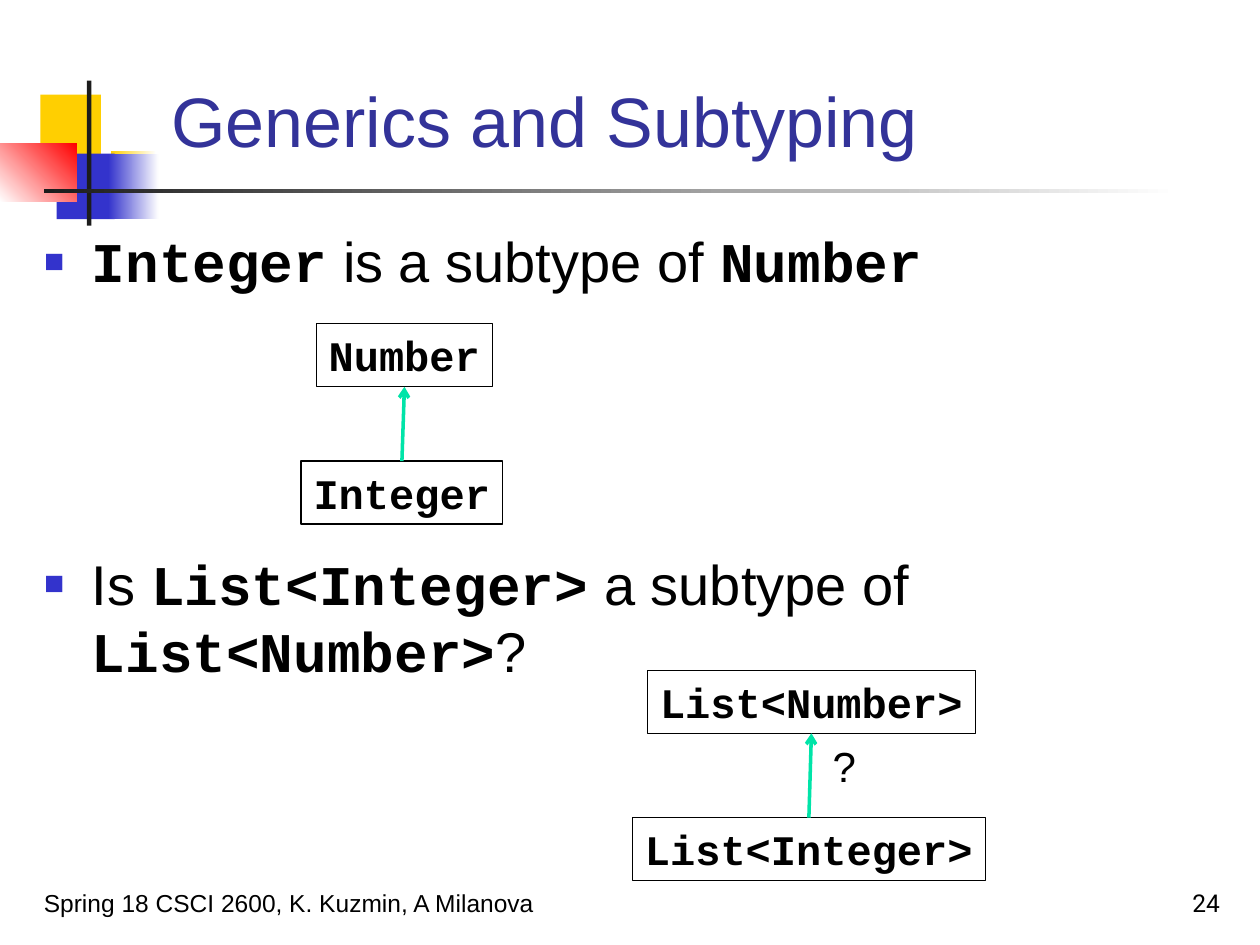
"""Build the slide on generics and subtyping."""
from dataclasses import dataclass
from typing import Any, NamedTuple

from lxml import etree
from pptx import Presentation
from pptx.dml.color import RGBColor
from pptx.enum.shapes import MSO_CONNECTOR, MSO_SHAPE
from pptx.enum.text import MSO_ANCHOR, MSO_AUTO_SIZE, PP_ALIGN
from pptx.oxml.ns import qn
from pptx.util import Inches, Pt

RECTANGLE = MSO_SHAPE.RECTANGLE
STRAIGHT = MSO_CONNECTOR.STRAIGHT
TOP, BOTTOM = MSO_ANCHOR.TOP, MSO_ANCHOR.BOTTOM
LEFT, RIGHT = PP_ALIGN.LEFT, PP_ALIGN.RIGHT
FIXED, FITTED = MSO_AUTO_SIZE.NONE, MSO_AUTO_SIZE.SHAPE_TO_FIT_TEXT
CELL = Inches(0.1)


@dataclass(frozen=True)
class Theme:
    ink: str = "000000"
    title: str = "333399"
    bullet: str = "3333CC"
    arrow: str = "00E4A8"
    gold: str = "FFCF01"
    red: str = "FF0000"
    dark: str = "1C1C1C"
    white: str = "FFFFFF"
    sans: str = "Arial"
    mono: str = "Courier New"
    number: str = "Roboto"
    title_size: int = 40
    body_size: int = 32
    label_size: int = 24
    footer_size: int = 14


THEME = Theme()


class Area(NamedTuple):
    """Columns and rows on a 100 by 75 grid."""
    col: float
    row: float
    cols: float
    rows: float

    def emu(self) -> list[int]:
        return [round(length * CELL) for length in self]


class Ornament(NamedTuple):
    area: Area
    start: str
    end: str | None = None
    angle: int = 0


class Span(NamedTuple):
    text: str
    code: bool = False


class Bullet(NamedTuple):
    gap: int
    spans: tuple[Span, ...]


class TypeBox(NamedTuple):
    name: str
    area: Area


class Hierarchy(NamedTuple):
    supertype: TypeBox
    subtype: TypeBox


ORNAMENTS = (
    Ornament(Area(3.2, 7.5, 4.8, 5.2), THEME.gold),
    Ornament(Area(8.8, 12, 3.6, 5.2), THEME.gold, THEME.white),
    Ornament(Area(4.5, 12.2, 4.6, 5.2), THEME.bullet),
    Ornament(Area(8.6, 12.2, 4, 5.2), THEME.bullet, THEME.white),
    Ornament(Area(0, 11.4, 6.1, 4.6), THEME.white, THEME.red, 45),
    Ornament(Area(6.9, 6.4, 0.35, 11.5), THEME.dark),
    Ornament(Area(3.5, 15, 90, 0.3), THEME.dark, THEME.white),
)
BULLETS = (
    Bullet(8, (Span("Integer", True), Span(" is a subtype of "), Span("Number", True))),
    Bullet(146, (Span("Is "), Span("List<Integer>", True), Span(" a subtype of "),
                 Span("List<Number>", True), Span("?"))),
)
HIERARCHIES = (
    Hierarchy(TypeBox("Number", Area(25.1, 25.7, 14, 5)),
              TypeBox("Integer", Area(23.9, 36.6, 16, 5))),
    Hierarchy(TypeBox("List<Number>", Area(51.4, 53.2, 26, 5)),
              TypeBox("List<Integer>", Area(50.2, 64.9, 28, 5))),
)


def apply(target: Any, **values: Any) -> None:
    for key, value in values.items():
        setattr(target, key, value)


def place(shape: Any, area: Area) -> None:
    apply(shape, **dict(zip(("left", "top", "width", "height"), area.emu())))


def write(paragraph: Any, text: str, size: int, face: str,
          color: str = THEME.ink, bold: bool = False) -> None:
    run = paragraph.add_run()
    run.text = text
    apply(run.font, size=Pt(size), name=face, bold=bold)
    run.font.color.rgb = RGBColor.from_string(color)


def draw_ornament(shapes: Any, ornament: Ornament) -> None:
    block = shapes.add_shape(RECTANGLE, *ornament.area.emu())
    block.shadow.inherit = False
    block.line.fill.background()
    if ornament.end is None:
        block.fill.solid()
        block.fill.fore_color.rgb = RGBColor.from_string(ornament.start)
        return
    block.fill.gradient()
    block.fill.gradient_angle = ornament.angle
    for stop, color in zip(block.fill.gradient_stops, (ornament.start, ornament.end)):
        stop.color.rgb = RGBColor.from_string(color)


def add_bullet_mark(paragraph: Any) -> None:
    properties = paragraph._p.get_or_add_pPr()
    apply_indent = {"marL": Inches(0.38), "indent": -Inches(0.38)}
    for key, value in apply_indent.items():
        properties.set(key, str(value))
    color = etree.SubElement(properties, qn("a:buClr"))
    etree.SubElement(color, qn("a:srgbClr"), val=THEME.bullet)
    etree.SubElement(properties, qn("a:buSzPct"), val="60000")
    etree.SubElement(properties, qn("a:buFont"), typeface=THEME.sans)
    etree.SubElement(properties, qn("a:buChar"), char="■")


def fill_title(title: Any) -> None:
    place(title, Area(12.6, 2.3, 85.2, 11))
    apply(title.text_frame, vertical_anchor=BOTTOM, auto_size=FIXED, word_wrap=True)
    heading = title.text_frame.paragraphs[0]
    heading.alignment = LEFT
    write(heading, "Generics and Subtyping", THEME.title_size, THEME.sans, THEME.title)


def fill_body(body: Any) -> None:
    place(body, Area(2.5, 17.5, 95.4, 49.6))
    frame = body.text_frame
    apply(frame, vertical_anchor=TOP, auto_size=FIXED, word_wrap=True)
    for index, bullet in enumerate(BULLETS):
        item = frame.add_paragraph() if index else frame.paragraphs[0]
        item.space_before = Pt(bullet.gap)
        add_bullet_mark(item)
        for text, code in bullet.spans:
            write(item, text, THEME.body_size, THEME.mono if code else THEME.sans, bold=code)


def draw_note(shapes: Any, area: Area, text: str, size: int, face: str = THEME.sans,
              alignment: Any = LEFT, anchor: Any = BOTTOM) -> None:
    note = shapes.add_textbox(*area.emu())
    apply(note.text_frame, word_wrap=True, vertical_anchor=anchor)
    line = note.text_frame.paragraphs[0]
    line.alignment = alignment
    write(line, text, size, face)


def draw_type(shapes: Any, box: TypeBox) -> None:
    frame = shapes.add_shape(RECTANGLE, *box.area.emu())
    frame.shadow.inherit = False
    frame.fill.background()
    frame.line.color.rgb = RGBColor.from_string(THEME.ink)
    frame.line.width = Pt(0.75)
    apply(frame.text_frame, word_wrap=False, auto_size=FITTED, vertical_anchor=TOP)
    label = frame.text_frame.paragraphs[0]
    label.alignment = LEFT
    write(label, box.name, THEME.label_size, THEME.mono, bold=True)


def draw_hierarchy(shapes: Any, hierarchy: Hierarchy) -> None:
    for box in hierarchy:
        draw_type(shapes, box)
    upper, lower = (box.area for box in hierarchy)
    ends = (lower.col + lower.cols / 2, lower.row,
            upper.col + upper.cols / 2, upper.row + upper.rows)
    arrow = shapes.add_connector(STRAIGHT, *(round(end * CELL) for end in ends))
    arrow.line.color.rgb = RGBColor.from_string(THEME.arrow)
    arrow.line.width = Pt(2)
    etree.SubElement(arrow.line._get_or_add_ln(), qn("a:tailEnd"), type="arrow")
    etree.SubElement(arrow._element.spPr, qn("a:effectLst"))


def main() -> None:
    deck = Presentation()
    apply(deck, slide_width=100 * CELL, slide_height=75 * CELL)
    slide = deck.slides.add_slide(deck.slide_layouts[1])
    shapes = slide.shapes
    for ornament in ORNAMENTS:
        draw_ornament(shapes, ornament)
    fill_title(shapes.title)
    fill_body(slide.placeholders[1])
    draw_note(shapes, Area(2.5, 68.3, 51.7, 5),
              "Spring 18 CSCI 2600, K. Kuzmin, A Milanova", THEME.footer_size)
    draw_note(shapes, Area(77, 68.3, 20.8, 5), "24", THEME.footer_size, THEME.number, RIGHT)
    for hierarchy in HIERARCHIES:
        draw_hierarchy(shapes, hierarchy)
    draw_note(shapes, Area(65.1, 58.3, 3.8, 5), "?", THEME.label_size, anchor=TOP)
    deck.save("out.pptx")


if __name__ == "__main__":
    main()
